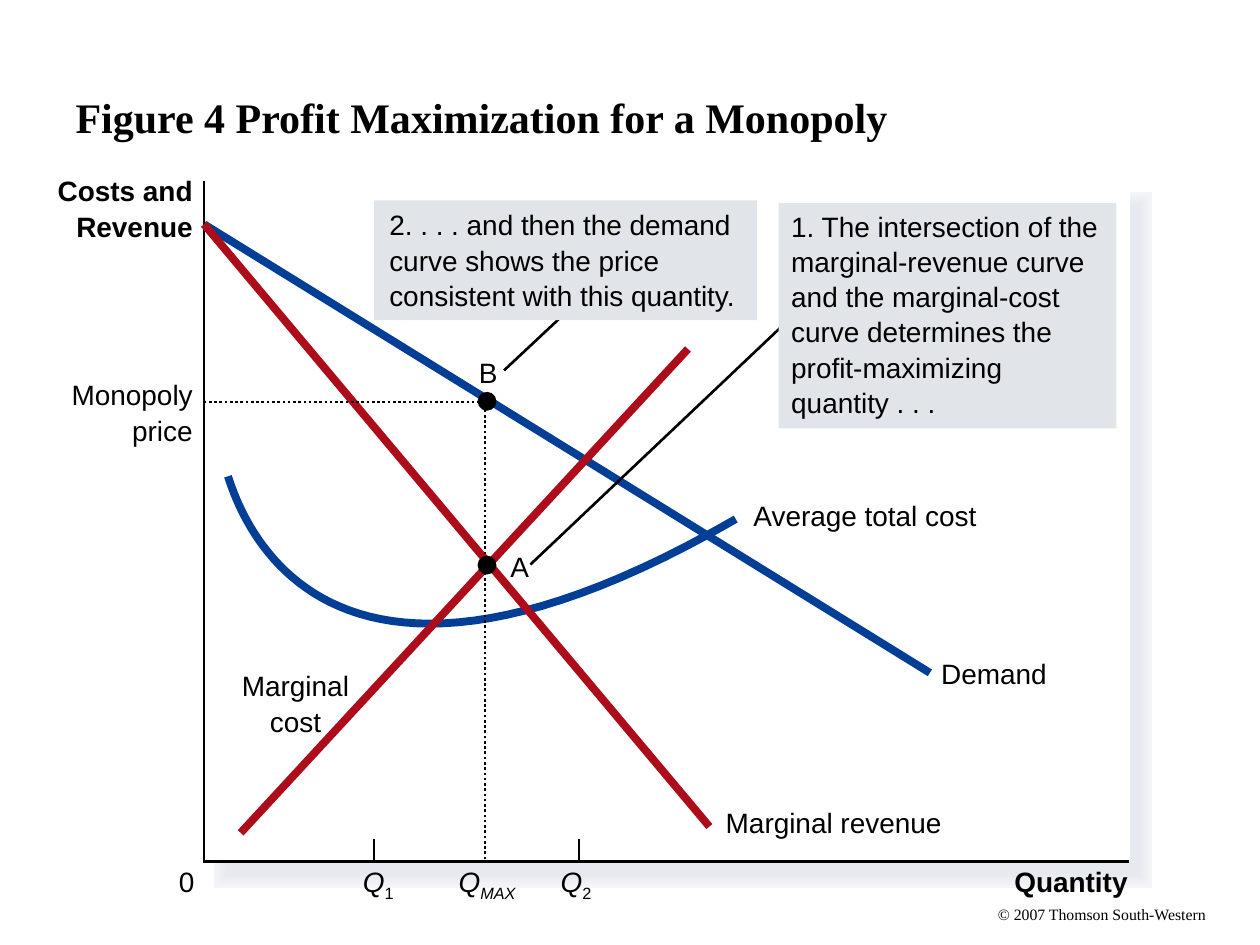
"""Build the slide on profit maximization for a monopoly."""
from dataclasses import dataclass

from pptx import Presentation
from pptx.dml.color import RGBColor
from pptx.enum.dml import MSO_LINE
from pptx.enum.shapes import MSO_CONNECTOR, MSO_SHAPE
from pptx.enum.text import MSO_ANCHOR, PP_ALIGN
from pptx.oxml.ns import qn
from pptx.util import Inches, Pt


@dataclass(frozen=True)
class Theme:
    ink: str = "000000"
    paper: str = "FFFFFF"
    blue: str = "003F95"
    red: str = "AD0D1B"
    note: str = "E1E5E9"
    shadow: tuple = ("F3F6F9", "F2F4F8", "F1F4F7", "F0F2F5", "EEF1F4", "EDEFF3",
                     "EBEEF2", "EAECF1", "E9EBF0", "E7EAEF", "E6E9EF")
    shadow_step: float = 1.5
    sans: str = "Arial"
    serif: str = "Times New Roman"
    body: int = 16
    title: int = 24
    small: int = 9
    thin: float = 1.5
    thick: float = 4.5


T = Theme()
L, C, R = PP_ALIGN.LEFT, PP_ALIGN.CENTER, PP_ALIGN.RIGHT
COLS, ROWS = 100, 75
LINE_H, PITCH = 2.7, 2.8
SLACK = 1
SLACK_BEFORE = {L: 0, C: SLACK / 2, R: SLACK}

TITLE = "Figure 4 Profit Maximization for a Monopoly"
COPYRIGHT = "© 2007 Thomson South-Western"
PLOT = (16.2, 14.4, 73.5, 53.9)
SHADOW = (18.1, 16.4, 72.2, 52.9)
ORIGIN_X, BASE_Y, TOP_Y, END_X = 16.2, 68.4, 14.4, 89.6
TICKS = [29.7, 45.95]
TICK_TOP = 66.6
DEMAND = ((16.2, 17.8), (73.8, 53.4))
REVENUE = ((16.2, 17.8), (56.3, 65.6))
COST = ((54.6, 27.7), (19.1, 66.1))
AVERAGE_COST = [(18.1, 37.8), (19.6, 42.5), (26.7, 59.5), (58.4, 41.2)]
PRICE_GUIDE = [(38.5, 68.2), (38.5, 31.9), (16.2, 31.9)]
DOTS = [(38.65, 31.85), (38.65, 44.85)]
DOT = 1.5

LABELS = [
    (["Costs and", "Revenue"], 4.6, 13.8, 10.7, dict(bold=True, align=R)),
    (["Monopoly", "price"], 5.7, 30, 9.6, dict(align=R)),
    (["0"], 14.2, 68.6, 1.2, {}),
    (["Quantity"], 80.5, 68.6, 9, dict(bold=True, align=R)),
    (["Demand"], 74.7, 52.1, 8.4, {}),
    (["Average total cost"], 59.8, 39.6, 17.8, {}),
    (["Marginal revenue"], 57.6, 63.9, 17.1, {}),
    (["Marginal", "cost"], 19.2, 53.1, 8.5, dict(align=C)),
    (["B"], 38, 28.2, 1.5, {}),
    (["A"], 40.5, 43.6, 1.5, {}),
    (["Q"], 28.8, 68.6, 2.6, dict(italic=True, sub="1", sub_italic=False)),
    (["Q"], 44.5, 68.6, 2.6, dict(italic=True, sub="2", sub_italic=False)),
    (["Q"], 36.4, 68.6, 4.5, dict(italic=True, sub="MAX", sub_italic=True)),
]
NOTES = [
    (((42.1, 44.8), (63, 25)), (61.8, 16.1, 26.8, 17.9), (62.8, 16.6, 24.4),
     ["1. The intersection of the", "marginal-revenue curve", "and the marginal-cost",
      "curve determines the", "profit-maximizing", "quantity . . ."]),
    (((40, 29.4), (44.7, 25)), (29.7, 15.9, 30.4, 9.5), (30.9, 16.5, 27.6),
     ["2. . . . and then the demand", "curve shows the price",
      "consistent with this quantity."]),
]

prs = Presentation()
prs.slide_width, prs.slide_height = Inches(10), Inches(7.5)
s = prs.slides.add_slide(prs.slide_layouts[6])


def grid(*values):
    units = (prs.slide_width / COLS, prs.slide_height / ROWS)
    return [round(v * units[i % 2]) for i, v in enumerate(values)]


def rgb(color):
    return RGBColor.from_string(color)


def stroke(sp, color, width):
    sp.line.color.rgb = rgb(color)
    sp.line.width = Pt(width)
    ln = sp._element.spPr.find(qn("a:ln"))
    ln.append(ln.makeelement(qn("a:miter"), {"lim": "800000"}))


def text(content, x, y, w, h=LINE_H, size=T.body, font=T.sans, bold=False,
         italic=False, align=L, anchor=MSO_ANCHOR.TOP, sub="", sub_italic=False):
    box = grid(x - SLACK_BEFORE[align], y, w + SLACK, h)
    tf = s.shapes.add_textbox(*box).text_frame
    tf.margin_left = tf.margin_right = tf.margin_top = tf.margin_bottom = 0
    tf.word_wrap = False
    tf.vertical_anchor = anchor
    p = tf.paragraphs[0]
    p.alignment = align
    for part, slant, offset in ((content, italic, 0), (sub, sub_italic, -25000)):
        if part:
            r = p.add_run()
            r.text = part
            f = r.font
            f.name, f.size, f.bold, f.italic = font, Pt(size), bold, slant
            f.color.rgb = rgb(T.ink)
            if offset:
                f._element.set("baseline", str(offset))


def rows(lines, x, y, w, **fmt):
    for i, line in enumerate(lines):
        text(line, x, y + i * PITCH, w, **fmt)


def shape(kind, box, fill, line_width=0):
    sp = s.shapes.add_shape(kind, *grid(*box))
    sp.shadow.inherit = False
    sp.fill.solid()
    sp.fill.fore_color.rgb = rgb(fill)
    if line_width:
        stroke(sp, fill, line_width)
    else:
        sp.line.fill.background()


def segment(start, end, color=T.ink, width=T.thin):
    cx = s.shapes.add_connector(MSO_CONNECTOR.STRAIGHT, *grid(*start, *end))
    stroke(cx, color, width)
    sp_pr = cx._element.spPr
    sp_pr.append(sp_pr.makeelement(qn("a:effectLst"), {}))


def outline(points, color=T.ink, width=T.thin, dash=None):
    pts = [grid(*p) for p in points]
    fb = s.shapes.build_freeform(*pts[0])
    fb.add_line_segments(pts[1:], close=False)
    sp = fb.convert_to_shape()
    sp.shadow.inherit = False
    sp.fill.background()
    stroke(sp, color, width)
    if dash:
        sp.line.dash_style = dash


def bezier(controls, steps=48):
    for t in (i / steps for i in range(steps + 1)):
        weights = ((1 - t) ** 3, 3 * t * (1 - t) ** 2, 3 * t * t * (1 - t), t ** 3)
        yield [sum(k * c for k, c in zip(weights, axis)) for axis in zip(*controls)]


def main():
    text(COPYRIGHT, 79.2, 71.8, 16.6, 1.5, size=T.small, font=T.serif)
    text(TITLE, 6, 3, 88, 12.5, size=T.title, font=T.serif, bold=True,
         anchor=MSO_ANCHOR.MIDDLE)
    for i, color in enumerate(T.shadow):
        shape(MSO_SHAPE.RECTANGLE, SHADOW, color, (len(T.shadow) - i) * T.shadow_step)
    shape(MSO_SHAPE.RECTANGLE, PLOT, T.paper)
    outline([(ORIGIN_X, TOP_Y), (ORIGIN_X, BASE_Y), (END_X, BASE_Y)])
    for x in TICKS:
        segment((x, TICK_TOP), (x, BASE_Y))
    segment(*DEMAND, T.blue, T.thick)
    outline(bezier(AVERAGE_COST), T.blue, T.thick)
    for curve in (REVENUE, COST):
        segment(*curve, T.red, T.thick)
    outline(PRICE_GUIDE, dash=MSO_LINE.ROUND_DOT)
    for x, y in DOTS:
        shape(MSO_SHAPE.OVAL, (x - DOT / 2, y - DOT / 2, DOT, DOT), T.ink)
    for lines, x, y, w, fmt in LABELS:
        rows(lines, x, y, w, **fmt)
    for leader, box, corner, lines in NOTES:
        segment(*leader)
        shape(MSO_SHAPE.RECTANGLE, box, T.note)
        rows(lines, *corner)
    prs.save("out.pptx")


if __name__ == "__main__":
    main()
